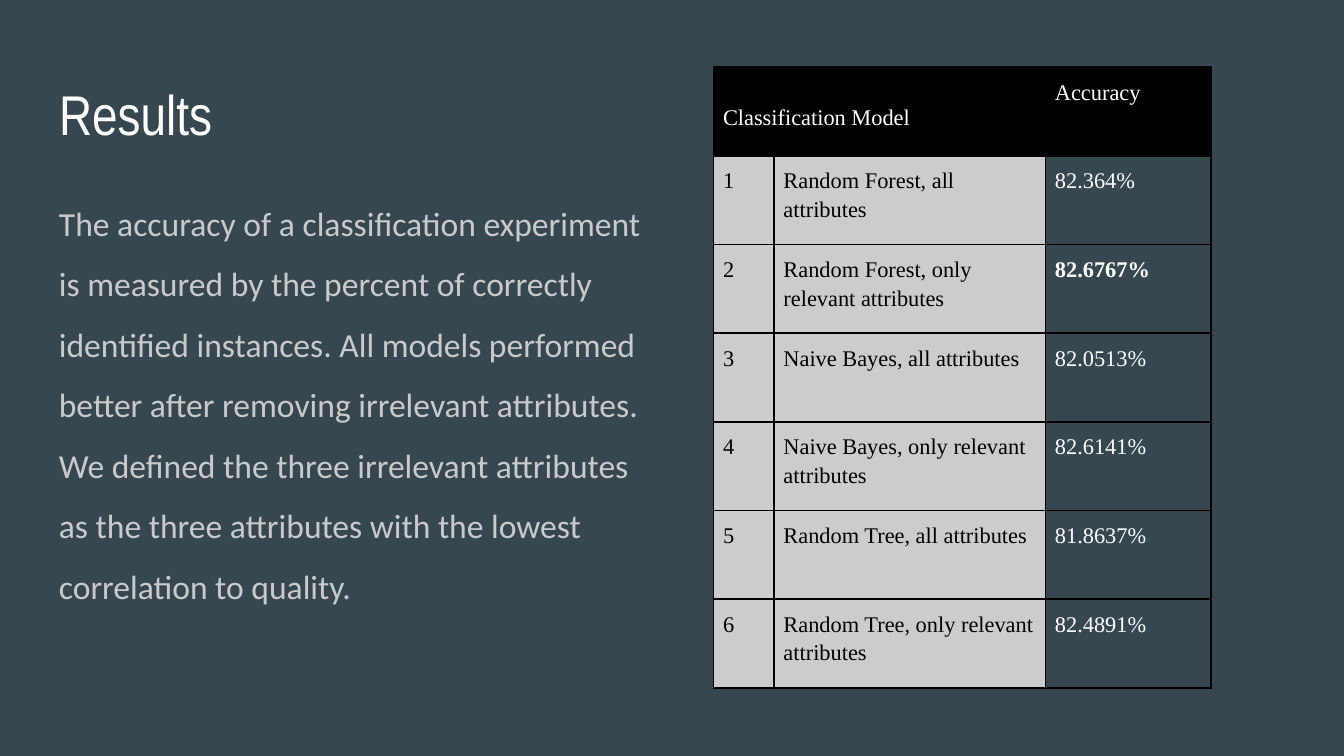
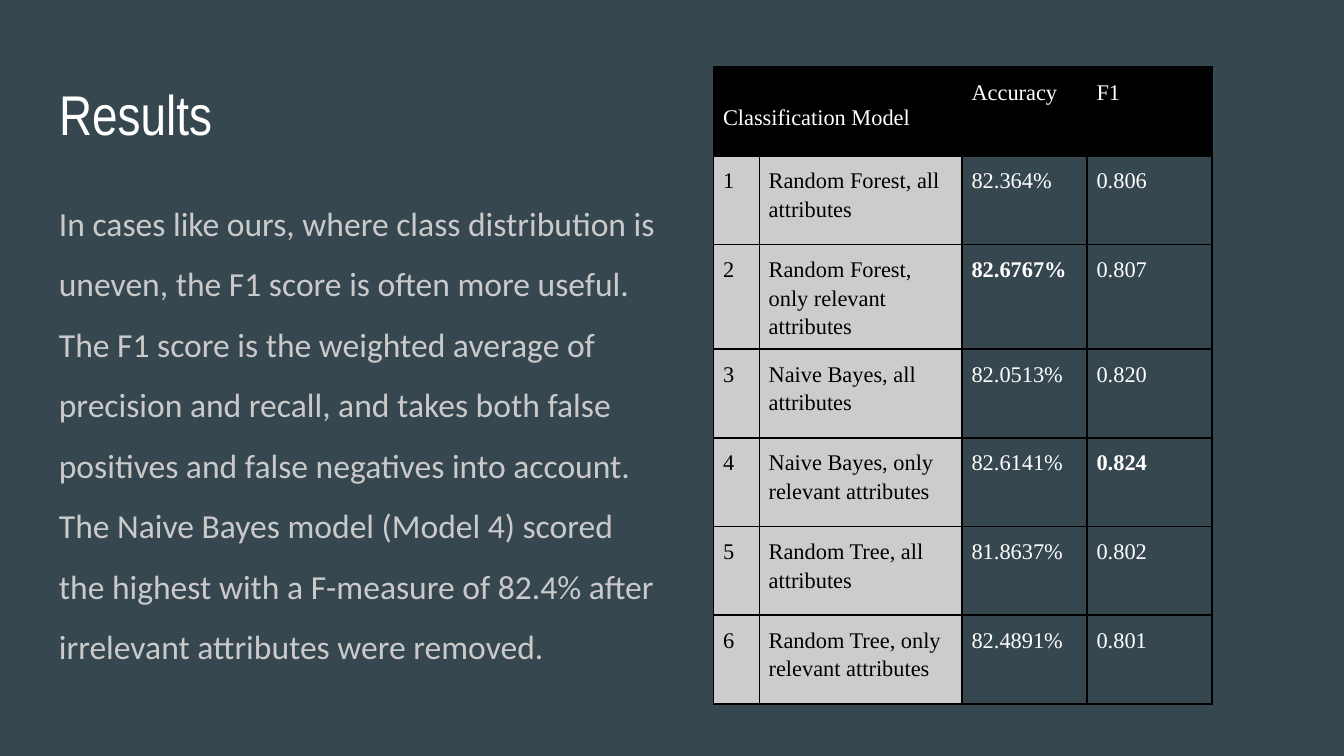
import pptx
import pptx.dml.color
import pptx.enum.text
import pptx.oxml
import pptx.oxml.ns
import pptx.util

WIDTH, HEIGHT = 10, 5.625
LEFT = 0.34
SLATE, BLACK, WHITE = "37474F", "000000", "FFFFFF"
BODY_GREY, MODEL_GREY = "CACACA", "CCCCCC"
ROW_HEIGHT, CELL_INSET, HEADER_DROP = 0.66, 0.07, 0.19

MODELS = [
    "Random Forest, all attributes",
    "Random Forest, only relevant attributes",
    "Naive Bayes, all attributes",
    "Naive Bayes, only relevant attributes",
    "Random Tree, all attributes",
    "Random Tree, only relevant attributes",
]
ACCURACY = ["82.364%", "82.6767%", "82.0513%", "82.6141%", "81.8637%", "82.4891%"]
F1 = ["0.806", "0.807", "0.820", "0.824", "0.802", "0.801"]
BEST = {"82.6767%", "0.824"}

ACCURACY_TEXT = (
    "The accuracy of a classification experiment is measured by the percent of "
    "correctly identified instances. All models performed better after removing "
    "irrelevant attributes. We defined the three irrelevant attributes as the "
    "three attributes with the lowest correlation to quality."
)
F1_TEXT = (
    "In cases like ours, where class distribution is uneven, the F1 score is often "
    "more useful. The F1 score is the weighted average of precision and recall, and "
    "takes both false positives and false negatives into account. The Naive Bayes "
    "model (Model 4) scored the highest with a F-measure of 82.4% after irrelevant "
    "attributes were removed."
)


def inches(*lengths):
    """Convert lengths in inches to a list of slide units."""
    return [pptx.util.Inches(length) for length in lengths]


def color(hex_code):
    """Return the colour for a hex string."""
    return pptx.dml.color.RGBColor.from_string(hex_code)


def write(frame, text, font_name, size, hex_code, spacing=1.0, bold=False):
    """Put one formatted, left-aligned paragraph into a text frame."""
    frame.word_wrap = True
    paragraph = frame.paragraphs[0]
    paragraph.text = text
    paragraph.alignment = pptx.enum.text.PP_ALIGN.LEFT
    paragraph.line_spacing = spacing
    font = paragraph.font
    font.name, font.size, font.bold = font_name, pptx.util.Pt(size), bold
    font.color.rgb = color(hex_code)


def set_frame(frame):
    """Give a text frame equal insets, top anchoring and a fixed size."""
    frame.margin_left = frame.margin_right = pptx.util.Inches(0.1)
    frame.margin_top = frame.margin_bottom = pptx.util.Inches(0.1)
    frame.vertical_anchor = pptx.enum.text.MSO_ANCHOR.TOP
    frame.auto_size = pptx.enum.text.MSO_AUTO_SIZE.NONE


def add_title(slide, text):
    """Place and format the slide title."""
    title = slide.shapes.title
    title.left, title.top, title.width, title.height = inches(
        LEFT, 0.49, WIDTH - 2 * LEFT, 0.63)
    set_frame(title.text_frame)
    write(title.text_frame, text, "Arial Narrow", 30, WHITE)


def add_explanation(slide, text):
    """Add the explaining text in the left half."""
    explanation = slide.shapes.add_textbox(
        *inches(LEFT, 1.26, WIDTH / 2 - LEFT, 3.74))
    set_frame(explanation.text_frame)
    write(explanation.text_frame, text, "Calibri", 18, BODY_GREY, 1.5)


def add_borders(cell):
    """Draw a thin black line on each side of a cell."""
    properties = cell._tc.get_or_add_tcPr()
    for position, side in enumerate("LRTB"):
        properties.insert(position, pptx.oxml.parse_xml(
            f'<a:ln{side} {pptx.oxml.ns.nsdecls("a")} w="12700"><a:solidFill>'
            f'<a:srgbClr val="{BLACK}"/></a:solidFill></a:ln{side}>'))


def style_cell(cell, text, text_color, fill_color=None):
    """Write and format one table cell."""
    cell.margin_left = cell.margin_right = pptx.util.Inches(CELL_INSET)
    cell.margin_top = cell.margin_bottom = pptx.util.Inches(CELL_INSET)
    write(cell.text_frame, text, "Times New Roman", 12, text_color, 1.15,
          text in BEST)
    if fill_color:
        cell.fill.solid()
        cell.fill.fore_color.rgb = color(fill_color)
    else:
        cell.fill.background()
    add_borders(cell)


def add_scores(slide, widths, measures):
    """Add the table of models with one column for each measure."""
    header = ["Classification Model", "", *measures]
    records = [[str(number), *record] for number, record in
               enumerate(zip(MODELS, *measures.values()), 1)]
    row_count = len(records) + 1
    table = slide.shapes.add_table(
        row_count, len(widths),
        *inches(5.31, 0.5, sum(widths), row_count * ROW_HEIGHT)).table
    table.first_row = table.horz_banding = False
    for column, width in zip(table.columns, inches(*widths)):
        column.width = width
    for row in table.rows:
        row.height = pptx.util.Inches(ROW_HEIGHT)
    for index, label in enumerate(header):
        style_cell(table.cell(0, index), label, WHITE, BLACK)
    for row_index, record in enumerate(records, 1):
        for index, value in enumerate(record):
            colors = (BLACK, MODEL_GREY) if index < 2 else (WHITE,)
            style_cell(table.cell(row_index, index), value, *colors)
    model_header = table.cell(0, 0)
    model_header.merge(table.cell(0, 1))
    model_header.margin_top = pptx.util.Inches(CELL_INSET + HEADER_DROP)


def add_results(presentation, text, widths, measures):
    """Add one results slide with its explanation and scores."""
    slide = presentation.slides.add_slide(
        presentation.slide_layouts.get_by_name("Title Only"))
    add_title(slide, "Results")
    add_explanation(slide, text)
    add_scores(slide, widths, measures)


def main():
    """Build and save the presentation."""
    presentation = pptx.Presentation()
    presentation.slide_width, presentation.slide_height = inches(WIDTH, HEIGHT)
    background = presentation.slide_master.background.fill
    background.solid()
    background.fore_color.rgb = color(SLATE)
    add_results(presentation, ACCURACY_TEXT, [0.45, 2.02, 1.23],
                {"Accuracy": ACCURACY})
    add_results(presentation, F1_TEXT, [0.34, 1.51, 0.93, 0.93],
                {"Accuracy": ACCURACY, "F1": F1})
    presentation.save("out.pptx")


main()
